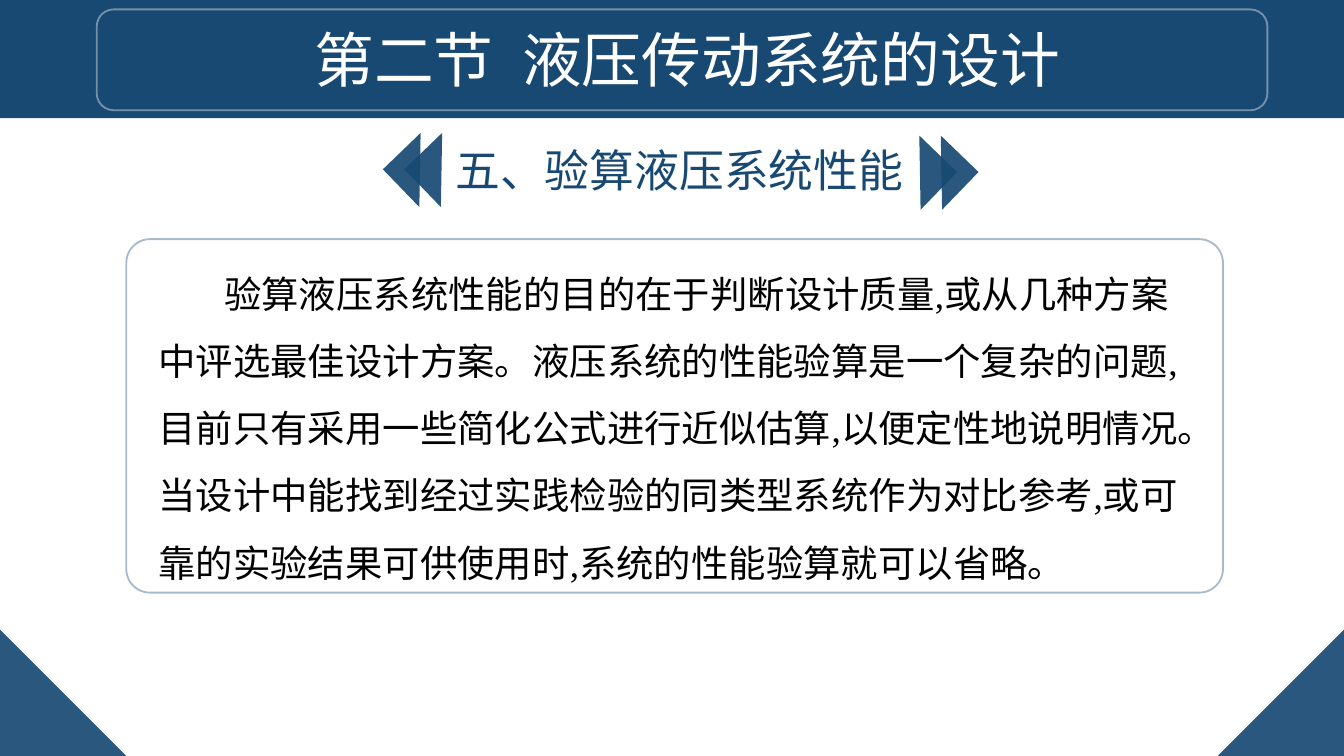
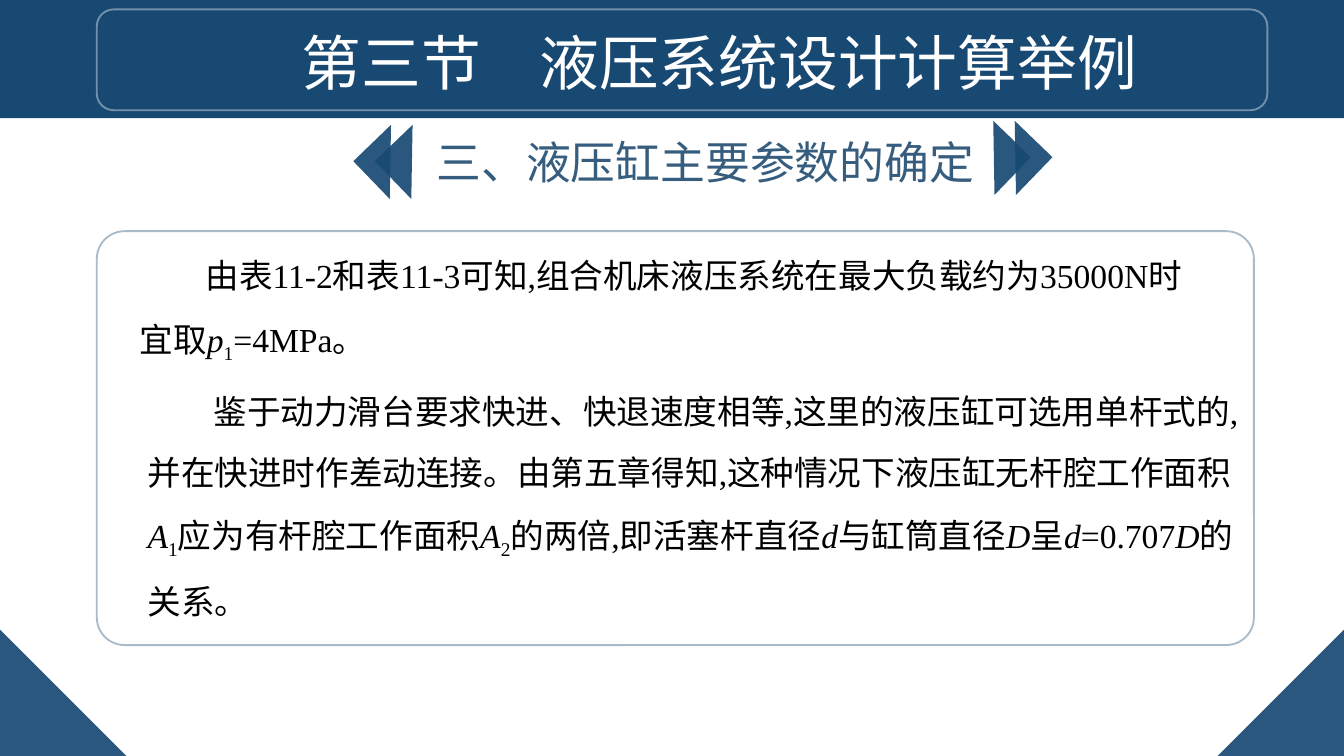
from lxml import etree
from pptx import Presentation
from pptx.dml.color import RGBColor
from pptx.enum.shapes import MSO_SHAPE
from pptx.enum.text import MSO_AUTO_SIZE, PP_ALIGN
from pptx.oxml.ns import qn
from pptx.util import Inches, Pt

NAVY = RGBColor(0x18, 0x49, 0x72)
SLATE = RGBColor(0x36, 0x5D, 0x7E)
WHITE = RGBColor(0xFF, 0xFF, 0xFF)
BLACK = RGBColor(0x00, 0x00, 0x00)
FONT = "Times New Roman"

RECT = MSO_SHAPE.RECTANGLE
ROUND = MSO_SHAPE.ROUNDED_RECTANGLE
TRI = MSO_SHAPE.RIGHT_TRIANGLE
FIT = MSO_AUTO_SIZE.SHAPE_TO_FIT_TEXT
CENTER = PP_ALIGN.CENTER

WIDE = 10
HIGH = WIDE * 9 / 16
CORNER = 0.94
ARROW, STEP = 0.39, 0.16
# Run attributes for each text style
PLAIN = {}
ITAL = {"i": "1"}
SUB = {"baseline": "-25000"}


def fade(shape, percent):
    """Set the opacity of the shape's colour."""
    for color in shape._element.spPr.iter(qn("a:srgbClr")):
        etree.SubElement(color, qn("a:alpha"), val=str(percent * 1000))


def add_form(slide, kind, box):
    shape = slide.shapes.add_shape(kind, *map(Inches, box))
    shape.shadow.inherit = False
    return shape


def add_solid(slide, kind, box):
    shape = add_form(slide, kind, box)
    shape.fill.solid()
    shape.fill.fore_color.rgb = NAVY
    shape.line.fill.background()
    return shape


def add_frame(slide, box, color, opacity, round_by=None):
    shape = add_form(slide, ROUND, box)
    shape.fill.background()
    shape.line.color.rgb = color
    shape.line.width = Pt(1)
    if round_by:
        shape.adjustments[0] = round_by
    fade(shape, opacity)


def add_wedge(slide, box, turn, mirror=False):
    """Draw a triangle flipped top to bottom, then turned."""
    shape = add_solid(slide, TRI, box)
    shape.rotation = turn
    xfrm = shape._element.spPr.find(qn("a:xfrm"))
    xfrm.set("flipV", "1")
    if mirror:
        xfrm.set("flipH", "1")
    fade(shape, 92)


def add_text(slide, box, parts, size, color, wrap=True,
             align=None, indent=0, spacing=None):
    """Write one paragraph from (text, style) parts."""
    frame = slide.shapes.add_textbox(*map(Inches, box)).text_frame
    frame.word_wrap = wrap
    frame.auto_size = FIT
    para = frame.paragraphs[0]
    para.alignment = align
    para.line_spacing = spacing
    if indent:
        props = para._p.get_or_add_pPr()
        props.set("marL", "0")
        props.set("indent", str(Inches(indent)))
    for text, style in parts:
        run = para.add_run()
        run.text = text
        font = run.font
        font.name, font.size, font.color.rgb = FONT, Pt(size), color
        for key, value in style.items():
            run._r.get_or_add_rPr().set(key, value)


def add_base(slide, part, name, gap, left, top):
    """Draw the band, the title with its widened space, and the corners."""
    add_solid(slide, RECT, (0, 0, WIDE, 0.88))
    add_frame(slide, (0.72, 0.07, 8.71, 0.75), WHITE, 40)
    title = [(part, PLAIN), (" ", {"spc": str(gap * 100)}), (name, PLAIN)]
    add_text(slide, (left, top, 8.35, 1.18), title, 32, WHITE, align=CENTER)
    for x, turn in ((0, 270), (WIDE - CORNER, 180)):
        add_wedge(slide, (x, HIGH - CORNER, CORNER, CORNER), turn)


def add_arrows(slide, left, right):
    """Draw a pair of arrows on each side of the subtitle."""
    for (x, y), turn, mirror in ((left, 316, False), (right, 44, True)):
        for i in range(2):
            add_wedge(slide, (x + i * STEP, y, ARROW, ARROW), turn, mirror)


def add_body(slide, box, parts, size):
    add_text(slide, box, parts, size, BLACK, indent=0.49, spacing=1.5)


def add_panel(slide, box):
    add_frame(slide, box, NAVY, 36, 0.067)


def add_check(slide):
    add_base(slide, "第二节", "液压传动系统的设计", 8, 0.94, 0.12)
    add_body(slide, (1.08, 1.8, 7.87, 2.63), [(
        "验算液压系统性能的目的在于判断设计质量,或从几种方案中评选最佳设计方案。"
        "液压系统的性能验算是一个复杂的问题,目前只有采用一些简化公式进行近似估算,"
        "以便定性地说明情况。当设计中能找到经过实践检验的同类型系统作为对比参考,"
        "或可靠的实验结果可供使用时,系统的性能验算就可以省略。", PLAIN)], 20)
    add_panel(slide, (0.94, 1.78, 8.16, 2.63))
    add_arrows(slide, (2.93, 1.07), (6.65, 1.09))
    add_text(slide, (2.98, 1.19, 3.86, 0.34),
             [("五、验算液压系统性能", PLAIN)], 24, NAVY, wrap=False,
             align=CENTER, indent=0.29, spacing=Pt(15.8))


def add_sizing(slide):
    add_base(slide, "第三节", "液压系统设计计算举例", 24, 1.18, 0.14)
    add_text(slide, (3.15, 0.95, 4.24, 0.5),
             [("三、液压缸主要参数的确定", PLAIN)], 24, SLATE, wrap=False)
    add_body(slide, (0.94, 1.7, 8.12, 0.95), [
        ("由表11-2和表11-3可知,组合机床液压系统在最大负载约为35000N时宜取",
         PLAIN),
        ("p", ITAL), ("1", SUB), ("=4MPa。", PLAIN)], 18)
    add_body(slide, (1, 2.71, 8.34, 1.92), [
        ("鉴于动力滑台要求快进、快退速度相等,这里的液压缸可选用单杆式的,"
         "并在快进时作差动连接。由第五章得知,这种情况下液压缸无杆腔工作面积",
         PLAIN),
        ("A", ITAL), ("1", SUB), ("应为有杆腔工作面积", PLAIN),
        ("A", ITAL), ("2", SUB), ("的两倍,即活塞杆直径", PLAIN),
        ("d", ITAL), ("与缸筒直径", PLAIN), ("D", ITAL), ("呈", PLAIN),
        ("d", ITAL), ("=0.707", PLAIN), ("D", ITAL),
        ("的关系。", PLAIN)], 18)
    add_panel(slide, (0.72, 1.72, 8.61, 3.08))
    add_arrows(slide, (2.71, 1.01), (7.2, 0.98))


def main():
    deck = Presentation()
    deck.slide_width, deck.slide_height = Inches(WIDE), Inches(HIGH)
    for build in (add_check, add_sizing):
        build(deck.slides.add_slide(deck.slide_layouts[6]))
    deck.save("out.pptx")


if __name__ == "__main__":
    main()
